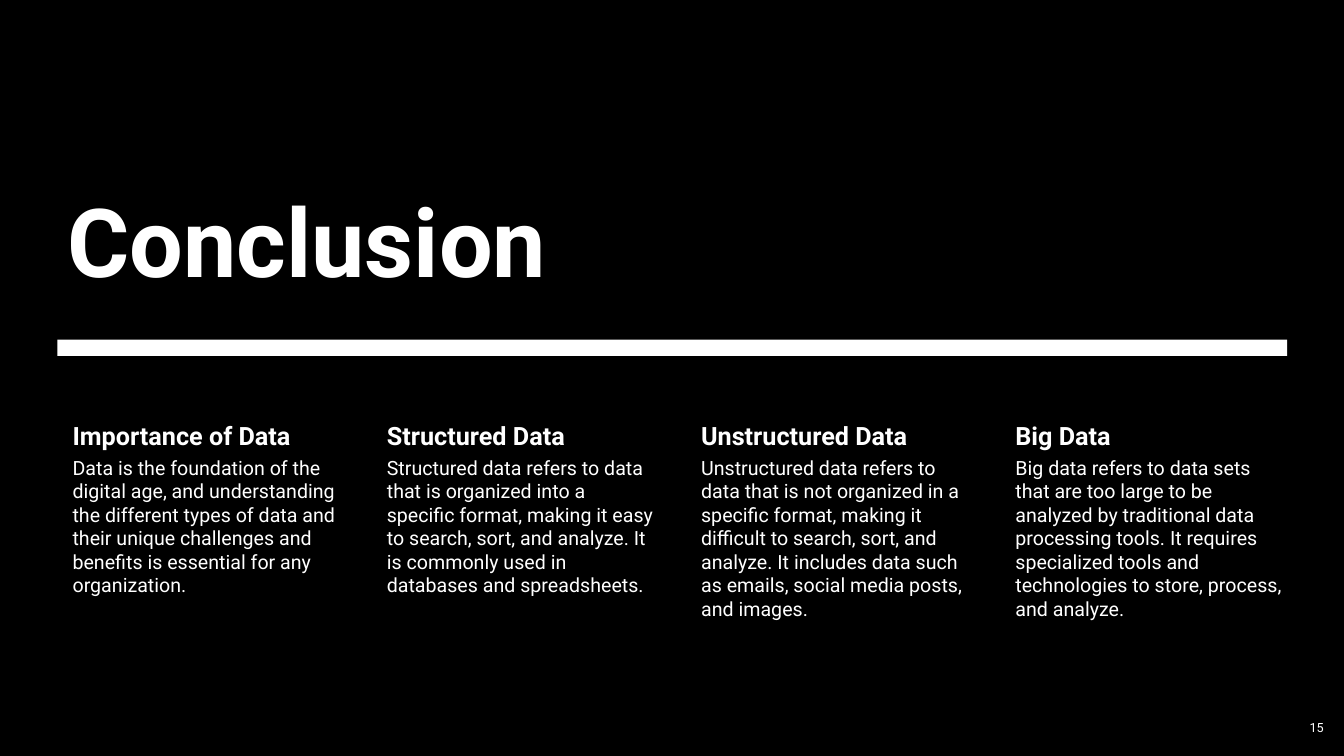
from pptx import Presentation
from pptx.dml.color import RGBColor
from pptx.enum.shapes import MSO_SHAPE as Shape
from pptx.enum.text import MSO_ANCHOR as Anchor, PP_ALIGN as Align
from pptx.util import Cm, Pt

BLACK = RGBColor(0x00, 0x00, 0x00)
WHITE = RGBColor(0xFF, 0xFF, 0xFF)
FONT = "Roboto"

SLIDE_WIDTH, SLIDE_HEIGHT = Cm(33.87), Cm(19.05)
MARGIN, CONTENT_WIDTH = Cm(1.45), Cm(30.99)
COLUMN_WIDTH, COLUMN_PITCH = Cm(7.19), Cm(7.92)

TOPICS = [
    ("Importance of Data",
     "Data is the foundation of the digital age, and understanding the different types of "
     "data and their unique challenges and benefits is essential for any organization."),
    ("Structured Data",
     "Structured data refers to data that is organized into a specific format, making it easy "
     "to search, sort, and analyze. It is commonly used in databases and spreadsheets."),
    ("Unstructured Data",
     "Unstructured data refers to data that is not organized in a specific format, making it "
     "difficult to search, sort, and analyze. It includes data such as emails, social media "
     "posts, and images."),
    ("Big Data",
     "Big data refers to data sets that are too large to be analyzed by traditional data "
     "processing tools. It requires specialized tools and technologies to store, process, "
     "and analyze."),
]


def add_text(shapes, box, text, size, bold=False, anchor=Anchor.TOP, align=Align.LEFT,
             insets=None):
    frame = shapes.add_textbox(*box).text_frame
    frame.word_wrap = True
    frame.vertical_anchor = anchor
    if insets:
        frame.margin_left, frame.margin_top, frame.margin_right, frame.margin_bottom = insets
    paragraph = frame.paragraphs[0]
    paragraph.text = text
    paragraph.alignment = align
    font = paragraph.font
    font.name, font.size, font.bold = FONT, Pt(size), bold
    font.color.rgb = WHITE


def add_block(shapes, box, color):
    block = shapes.add_shape(Shape.RECTANGLE, *box)
    block.shadow.inherit = False
    block.fill.solid()
    block.fill.fore_color.rgb = color
    block.line.fill.background()


def add_backdrop(slide, box):
    slide.background.fill.solid()
    slide.background.fill.fore_color.rgb = BLACK
    add_block(slide.shapes, box, BLACK)


def add_header(shapes, left, top, width):
    # White rule below the title
    add_block(shapes, (left, top + Cm(4.88), width, Cm(0.41)), WHITE)
    add_text(shapes, (left, top, width, Cm(3.91)), "Conclusion", 68, bold=True,
             anchor=Anchor.BOTTOM)


def add_topic(shapes, left, top, width, heading, body):
    add_text(shapes, (left, top, width, Cm(0.89)), heading, 18, bold=True,
             insets=(Cm(0.38), Cm(0.08), Cm(0.08), Cm(0.08)))
    add_text(shapes, (left, top + Cm(0.91), width, Cm(5.82)), body, 14,
             insets=(Cm(0.38), Cm(0.05), Cm(0.05), Cm(0.05)))


def add_topics(shapes, left, top):
    topics = shapes.add_group_shape().shapes
    for column, (heading, body) in enumerate(TOPICS):
        add_topic(topics, left + column * COLUMN_PITCH, top, COLUMN_WIDTH, heading, body)


def add_page_number(shapes, box):
    add_text(shapes, box, "15", 9, anchor=Anchor.MIDDLE, align=Align.RIGHT)


def main():
    deck = Presentation()
    deck.slide_width, deck.slide_height = SLIDE_WIDTH, SLIDE_HEIGHT
    slide = deck.slides.add_slide(deck.slide_layouts[6])

    add_backdrop(slide, (0, 0, SLIDE_WIDTH, SLIDE_HEIGHT))
    add_header(slide.shapes, MARGIN, Cm(3.68), CONTENT_WIDTH)
    add_topics(slide.shapes, MARGIN, Cm(10.52))
    add_page_number(slide.shapes, (Cm(31.83), Cm(17.83), Cm(1.78), Cm(1.02)))

    deck.save("out.pptx")


if __name__ == "__main__":
    main()
